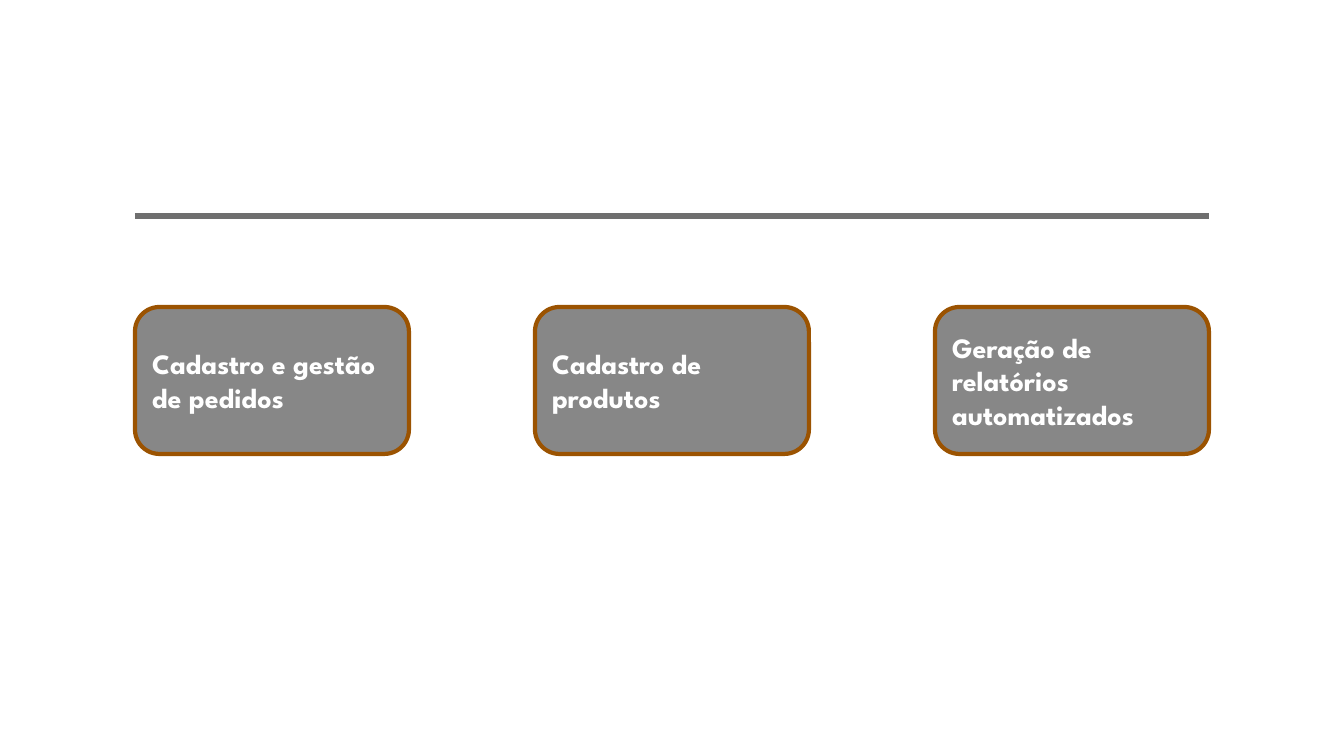
from lxml.etree import SubElement
from pptx import Presentation
from pptx.dml.color import RGBColor
from pptx.enum.shapes import MSO_CONNECTOR as Connector, MSO_SHAPE as Shape
from pptx.enum.text import MSO_ANCHOR as Anchor, PP_ALIGN as Align
from pptx.oxml.ns import qn
from pptx.util import Pt

EMU_PER_PX = 914400 / 100.8
FONT = "League Spartan"
WHITE, BLACK, BROWN, GRAY = "FFFFFF", "000000", "9B5301", "6F6F6F"
LEFT, RIGHT, RULE_Y = 135, 1209, 216
CARD_TOP, CARD_WIDTH, CARD_HEIGHT, CARD_STEP = 307, 274, 147, 400
BENEFITS = [
    "Cadastro e gestão de pedidos",
    "Cadastro de produtos",
    "Geração de relatórios automatizados",
]


def px(length):
    """Turn pixels into EMU."""
    return round(length * EMU_PER_PX)


def color(value):
    """Turn a hex string into a colour."""
    return RGBColor.from_string(value)


def write(box, text):
    """Put bold white left-aligned text in a shape."""
    frame = box.text_frame
    frame.text = text
    frame.word_wrap = True
    frame.vertical_anchor = Anchor.MIDDLE
    para = frame.paragraphs[0]
    para.alignment = Align.LEFT
    font = para.runs[0].font
    font.name, font.size, font.bold = FONT, Pt(20), True
    font.color.rgb = color(WHITE)


def add_card(slide, left, text):
    """Add a translucent rounded card with a brown outline."""
    card = slide.shapes.add_shape(
        Shape.ROUNDED_RECTANGLE, px(left), px(CARD_TOP), px(CARD_WIDTH), px(CARD_HEIGHT))
    card.shadow.inherit = False
    card.fill.solid()
    card.fill.fore_color.rgb = color(BLACK)
    tint = card._element.spPr.find(qn("a:solidFill")).find(qn("a:srgbClr"))
    SubElement(tint, qn("a:alpha")).set("val", "47000")
    card.line.color.rgb = color(BROWN)
    card.line.width = Pt(3)
    write(card, text)


def add_rule(slide):
    """Add the horizontal line above the cards."""
    rule = slide.shapes.add_connector(
        Connector.STRAIGHT, px(LEFT), px(RULE_Y), px(RIGHT), px(RULE_Y))
    rule.line.color.rgb = color(GRAY)
    rule.line.width = Pt(4.5)
    SubElement(rule._element.spPr, qn("a:effectLst"))


def main():
    """Build and save the deck."""
    deck = Presentation()
    deck.slide_width, deck.slide_height = px(1344), px(756)
    slide = deck.slides.add_slide(deck.slide_layouts.get_by_name("Blank"))
    for index, benefit in enumerate(BENEFITS):
        add_card(slide, LEFT + index * CARD_STEP, benefit)
    add_rule(slide)
    deck.save("out.pptx")


if __name__ == "__main__":
    main()
